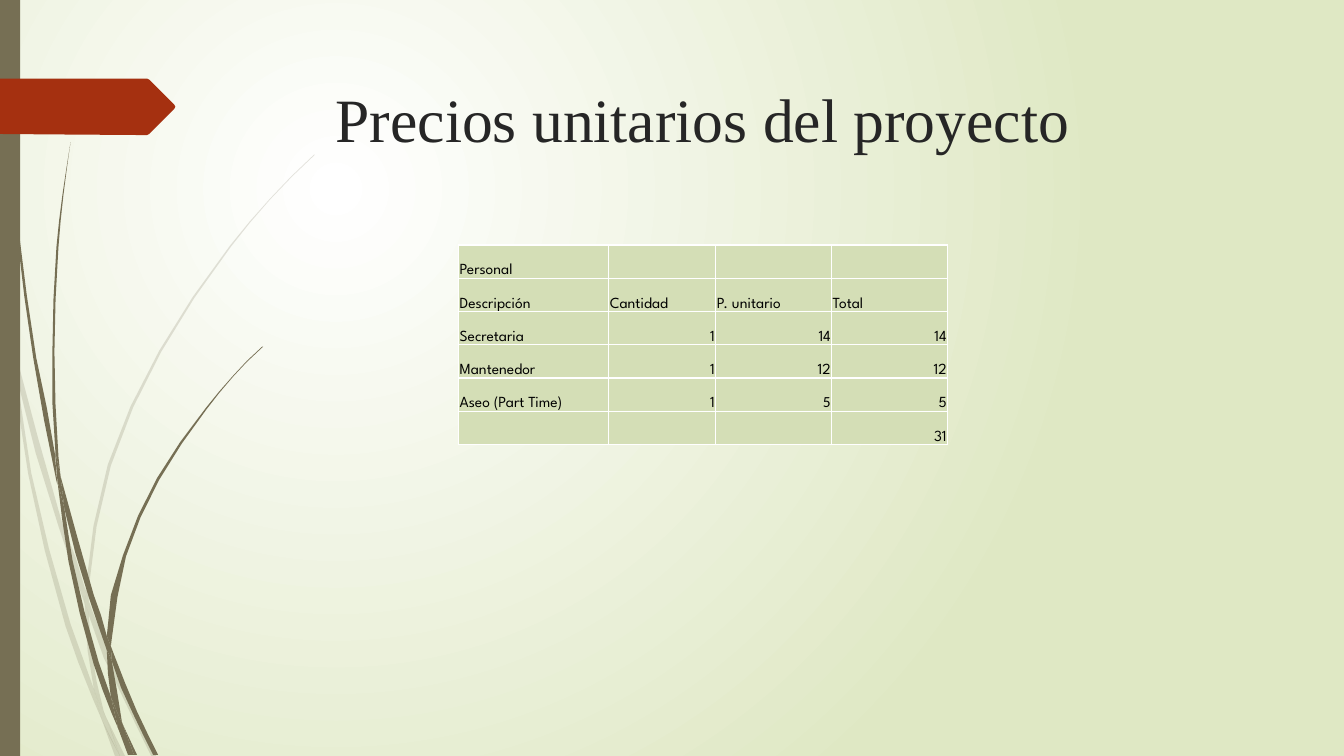
import math

import pptx
import pptx.dml.color
import pptx.enum.shapes
import pptx.enum.text
import pptx.oxml
import pptx.oxml.ns
import pptx.util

Pt = pptx.util.Pt
RGBColor = pptx.dml.color.RGBColor
ALIGN = pptx.enum.text.PP_ALIGN
ANCHOR = pptx.enum.text.MSO_ANCHOR
qn = pptx.oxml.ns.qn

WHITE = RGBColor(0xFF, 0xFF, 0xFF)
BLACK = RGBColor(0, 0, 0)
PALE_GREEN = RGBColor(0xDF, 0xE8, 0xC4)
CELL_GREEN = RGBColor(0xD4, 0xDE, 0xB6)
STEM_BROWN = RGBColor(0x76, 0x6F, 0x54)
TAG_RED = RGBColor(0xA5, 0x30, 0x10)
TITLE_GREY = RGBColor(0x26, 0x26, 0x26)

GRID = 0.72  # points per unit of the outline coordinates below
LONG_EDGE = 40  # longer edges get a rounded midpoint
SMOOTH_COSINE = 0.8  # sharper turns stay corners

PALE_STEMS = [
    "11,350 9,322 0,282 0,299 10,344",
    "58,522 84,599 85,586 62,520 14,345 17,376",
    "92,607 88,596 88,610 123,694 150,750 155,750 127,692",
    "119,750 124,750 105,711",
    "93,683 70,619 31,469 17,376 11,350 28,470 65,621 92,693 101,714 99,707",
    "84,599 87,646 93,683 96,692 105,711 103,706 91,646 88,610 88,608",
    "88,584 110,462 160,349 229,245 268,198 290,175 312,154 312,153 289,175"
    " 268,197 228,244 158,348 107,461 85,584 85,586 88,596",
    "101,714 114,750 119,750",
    "88,608 88,610 88,596 85,586 84,599",
    "96,692 93,683 99,707 101,714 119,750 105,711",
]
DARK_STEMS = [
    "7,110 17,233 33,355 56,477 57,481 55,457 55,453 36,355 19,232 8,109 5,48 4,0 3,0 4,48",
    "88,592 106,645 106,633 106,631 93,590 60,472 64,505",
    "113,649 110,641 111,656 132,708 152,749 157,749 136,706",
    "110,691 98,657 72,556 64,505 57,477 68,557 93,659 111,708 117,722 116,717",
    "60,472 58,453 54,349 58,245 63,193 70,141 62,193 56,245 52,349 55,449",
    "133,749 136,749 122,719",
    "57,477 64,505 60,472 55,449 55,453",
    "111,633 125,552 158,476 205,406 231,374 245,359 261,344 260,344 245,358"
    " 231,373 204,405 156,474 122,551 106,631 110,641",
    "117,722 127,749 131,749",
    "106,645 110,691 116,706 122,719 121,716 111,656 109,651",
    "106,645 109,651 111,656 110,641 106,631 106,633",
    "116,706 110,691 116,717 117,722 130,749 133,749 122,719",
]
TAG = "173,108 148,133 146,134 136,134 0,133 0,78 136,78 146,78 148,79 173,104 174,106"

STAFF_ROWS = [
    ["Personal", "", "", ""],
    ["Descripción", "Cantidad", "P. unitario", "Total"],
    ["Secretaria", "1", "14", "14"],
    ["Mantenedor", "1", "12", "12"],
    ["Aseo (Part Time)", "1", "5", "5"],
    ["", "", "", "31"],
]
COLUMN_WIDTHS = [107.3, 76.4, 82.8, 82.8]
ROW_HEIGHT = 23.76


def direction(start, end):
    length = math.dist(start, end)
    return (end[0] - start[0]) / length, (end[1] - start[1]) / length


def smooth(corners):
    """Return the closed outline with a curved midpoint on every long edge."""
    outline = []
    count = len(corners)
    for index, start in enumerate(corners):
        outline.append(start)
        before, end = corners[index - 1], corners[(index + 1) % count]
        after = corners[(index + 2) % count]
        length = math.dist(start, end)
        if length < LONG_EDGE:
            continue
        chord = direction(start, end)
        tangents = []
        for neighbour in (direction(before, start), direction(end, after)):
            bend = neighbour[0] * chord[0] + neighbour[1] * chord[1]
            if bend > SMOOTH_COSINE:
                mean = (neighbour[0] + chord[0], neighbour[1] + chord[1])
                tangents.append(direction((0, 0), mean))
            else:
                tangents.append(chord)
        outline.append(tuple(
            (start[axis] + end[axis]) / 2
            + length / 8 * (tangents[0][axis] - tangents[1][axis])
            for axis in (0, 1)))
    return outline


class PageBuilder:
    title_font = "Times New Roman"
    table_font = "League Spartan"
    number_font = "Calibri"

    def __init__(self, page):
        self.page = page

    def background(self):
        fill = self.page.background.fill
        fill.gradient()
        for stop, color, position in zip(fill.gradient_stops, (WHITE, PALE_GREEN), (0, 1)):
            stop.color.rgb = color
            stop.position = position
        gradient = self.page.element.xpath(".//a:gradFill")[0]
        gradient.replace(gradient.find(qn("a:lin")), pptx.oxml.parse_xml(
            f'<a:path {pptx.oxml.ns.nsdecls("a")} path="circle">'
            '<a:fillToRect l="50000" t="50000" r="100000" b="100000"/></a:path>'))

    def paint(self, shape, color, opacity=100):
        shape.shadow.inherit = False
        shape.fill.solid()
        shape.fill.fore_color.rgb = color
        shape.line.fill.background()
        if opacity < 100:
            tint = shape.element.spPr.find(qn("a:solidFill"))[0]
            tint.append(pptx.oxml.parse_xml(
                f'<a:alpha {pptx.oxml.ns.nsdecls("a")} val="{opacity * 1000}"/>'))

    def outline(self, shapes, corner_text, color, opacity=100):
        corners = [tuple(map(int, pair.split(","))) for pair in corner_text.split()]
        points = [(Pt(x * GRID), Pt(y * GRID)) for x, y in smooth(corners)]
        builder = shapes.build_freeform(*points[0], scale=1.0)
        builder.add_line_segments(points[1:], close=True)
        self.paint(builder.convert_to_shape(), color, opacity)

    def stems(self, outlines, opacity=100):
        group = self.page.shapes.add_group_shape()
        for corner_text in outlines:
            self.outline(group.shapes, corner_text, STEM_BROWN, opacity)

    def side_bar(self, width, height):
        bar = self.page.shapes.add_shape(
            pptx.enum.shapes.MSO_SHAPE.RECTANGLE, 0, 0, Pt(width), Pt(height))
        self.paint(bar, STEM_BROWN)

    def style(self, paragraph, font, size, color):
        for span in paragraph.runs:
            span.font.name = font
            span.font.size = Pt(size)
            span.font.color.rgb = color

    def title(self, text, left, top, width, height):
        box = self.page.shapes.add_textbox(Pt(left), Pt(top), Pt(width), Pt(height))
        frame = box.text_frame
        frame.word_wrap = True
        frame.margin_top = Pt(9)
        frame.text = text
        frame.paragraphs[0].alignment = ALIGN.CENTER
        self.style(frame.paragraphs[0], self.title_font, 44, TITLE_GREY)

    def table(self, rows, left, top):
        table = self.page.shapes.add_table(
            len(rows), len(COLUMN_WIDTHS), Pt(left), Pt(top),
            Pt(sum(COLUMN_WIDTHS)), Pt(ROW_HEIGHT * len(rows))).table
        for column, width in zip(table.columns, COLUMN_WIDTHS):
            column.width = Pt(width)
        for row_index, texts in enumerate(rows):
            table.rows[row_index].height = Pt(ROW_HEIGHT)
            for column_index, text in enumerate(texts):
                font = self.number_font if (row_index, column_index) == (4, 2) else self.table_font
                self.cell(table.cell(row_index, column_index), text, font)

    def cell(self, cell, text, font):
        cell.margin_left = cell.margin_right = cell.margin_top = Pt(0.72)
        cell.margin_bottom = 0
        cell.vertical_anchor = ANCHOR.BOTTOM
        cell.fill.solid()
        cell.fill.fore_color.rgb = CELL_GREEN
        properties = cell._tc.get_or_add_tcPr()
        for index, side in enumerate("LRTB"):
            properties.insert(index, pptx.oxml.parse_xml(
                f'<a:ln{side} {pptx.oxml.ns.nsdecls("a")} w="{Pt(1)}"><a:solidFill>'
                f'<a:srgbClr val="{WHITE}"/></a:solidFill></a:ln{side}>'))
        if text:
            cell.text_frame.text = text
            paragraph = cell.text_frame.paragraphs[0]
            paragraph.alignment = ALIGN.RIGHT if text.isdigit() else ALIGN.LEFT
            self.style(paragraph, font, 11, BLACK)


def main():
    deck = pptx.Presentation()
    deck.slide_width, deck.slide_height = Pt(960), Pt(540)
    builder = PageBuilder(deck.slides.add_slide(deck.slide_layouts[6]))
    builder.background()
    builder.stems(PALE_STEMS, opacity=20)
    builder.stems(DARK_STEMS)
    builder.side_bar(14.4, 540)
    builder.outline(builder.page.shapes, TAG, TAG_RED)
    builder.title("Precios unitarios del proyecto", 98.6, 49, 807, 100.8)
    builder.table(STAFF_ROWS, 327.6, 175)
    deck.save("out.pptx")


if __name__ == "__main__":
    main()
